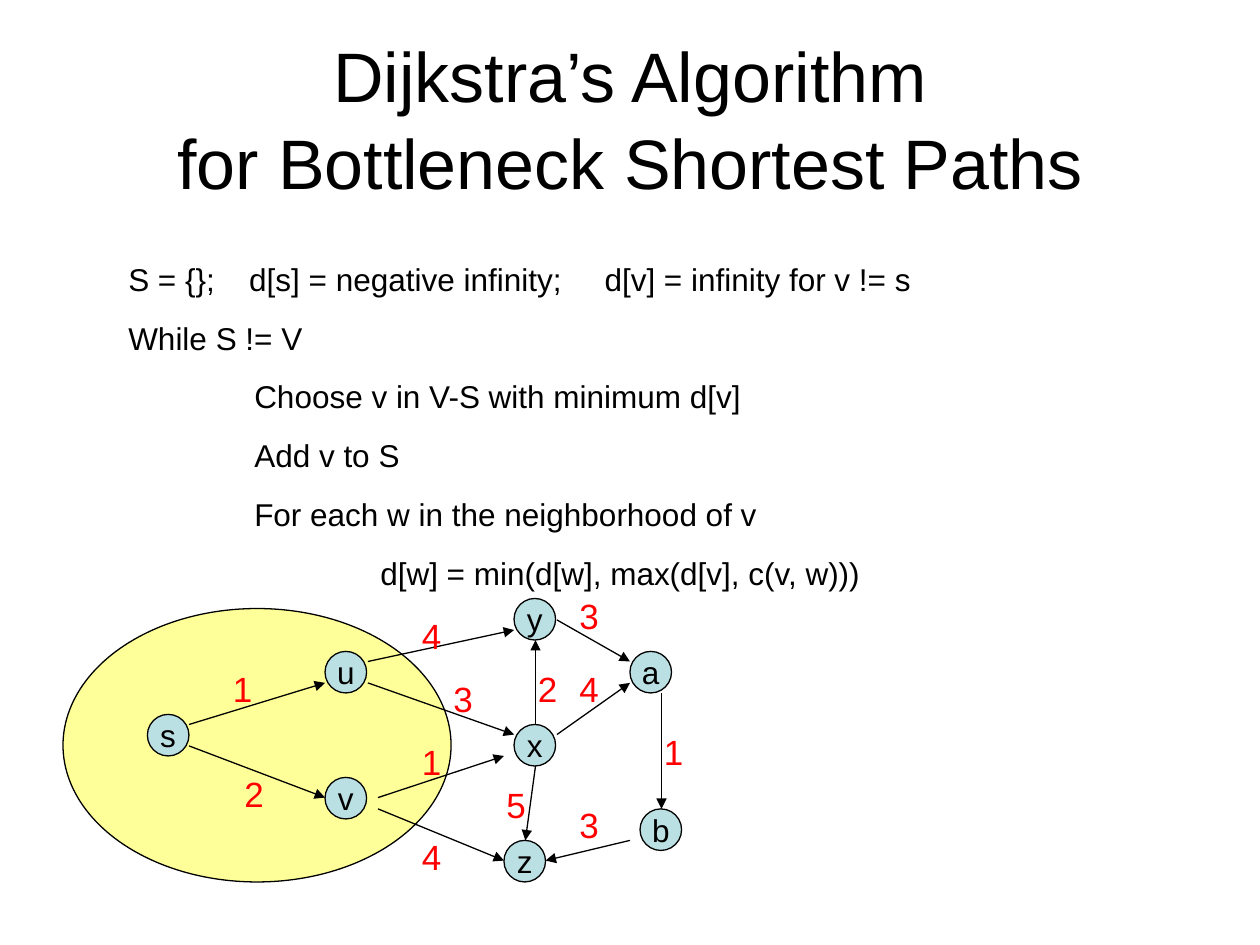
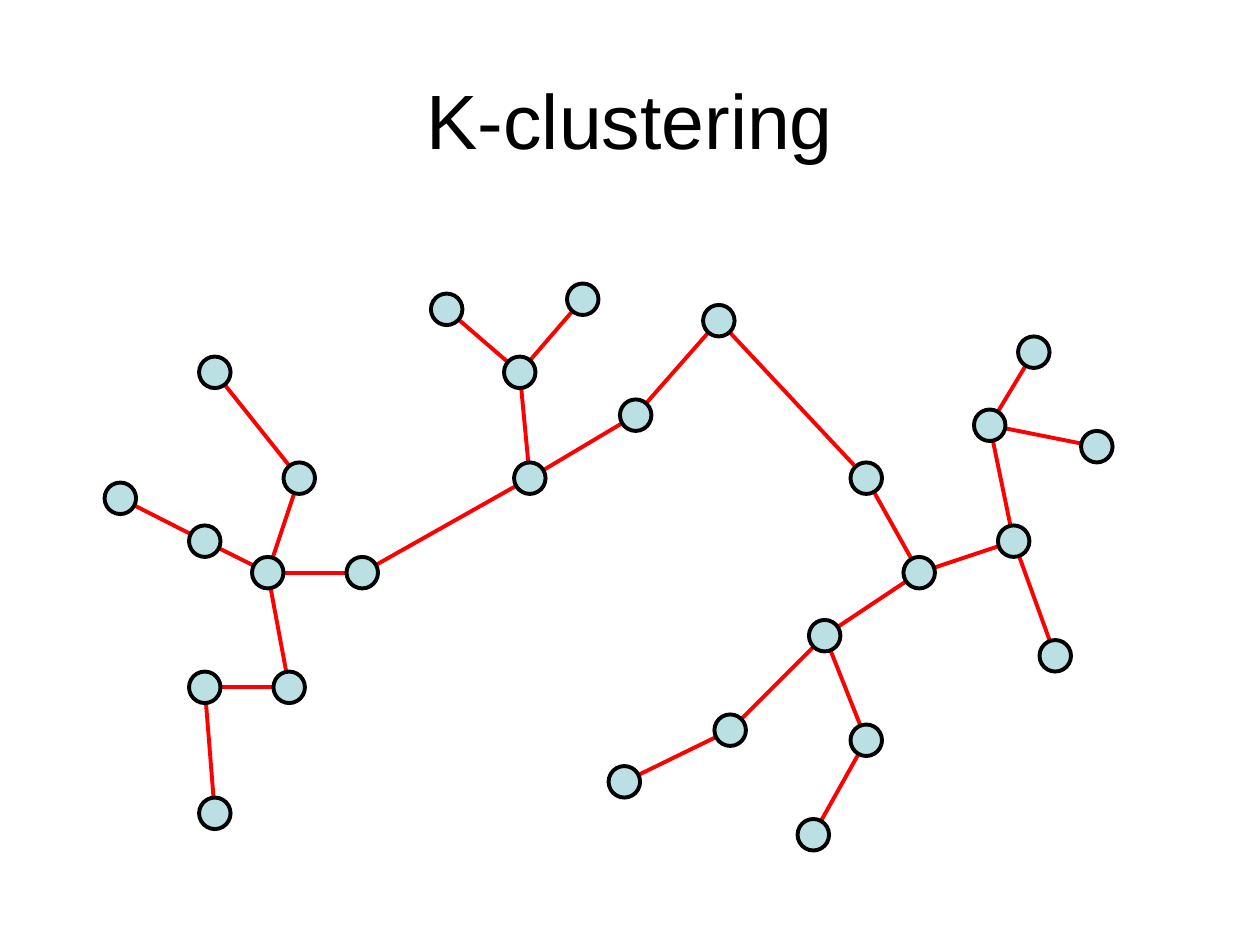
from lxml import etree
from pptx import Presentation
from pptx.dml import color
from pptx.enum import shapes, text
from pptx.oxml import ns
from pptx.util import Inches, Pt

BLACK, RED, BLUE, YELLOW = "000000", "FF0000", "BBE0E3", "FFFF99"
FONT = "Arial"


def paint(target, tone):
    if hasattr(target, "solid"):
        target.solid()
        target = target.fore_color
    target.rgb = color.RGBColor.from_string(tone)


def child(parent, tag, **attrs):
    return etree.SubElement(parent, ns.qn(tag), attrs)


class Deck:
    def __init__(self):
        self.prs = Presentation()
        self.prs.slide_width = Inches(10)
        self.prs.slide_height = Inches(7.5)

    def page(self, title, size):
        self.slide = self.prs.slides.add_slide(self.prs.slide_layouts[6])
        frame = self.box(0.5, 0.3, 9, 1.25)
        frame.vertical_anchor = text.MSO_ANCHOR.MIDDLE
        self.words(frame.paragraphs[0], title, size, align="CENTER", space=1.04)

    def box(self, left, top, width, height, wrap=True):
        shape = self.slide.shapes.add_textbox(*map(Inches, (left, top, width, height)))
        shape.text_frame.word_wrap = wrap
        return shape.text_frame

    def words(self, para, words, size, tone=BLACK, align="LEFT", space=None):
        para.text = words
        para.alignment = getattr(text.PP_ALIGN, align)
        para.line_spacing = space
        para.font.name = FONT
        para.font.size = Pt(size)
        paint(para.font.color, tone)

    def code(self, left, top, width, height, lines, tabs):
        frame = self.box(left, top, width, height)
        for row, (level, words) in enumerate(lines):
            para = frame.add_paragraph() if row else frame.paragraphs[0]
            props = para._p.get_or_add_pPr()
            props.set("marL", str(Inches(level)))
            if "\t" in words:
                stops = child(props, "a:tabLst")
                for stop in tabs:
                    child(stops, "a:tab", pos=str(Inches(stop)), algn="l")
            if row:
                para.space_before = Pt(11.2)
            self.words(para, words, 18, space=1.04)

    def label(self, words, left, top):
        frame = self.box(left, top, 0.35, 0.44, wrap=False)
        self.words(frame.paragraphs[0], words, 20, RED)

    def oval(self, left, top, width, height, fill=BLUE, weight=0.75, words=""):
        shape = self.slide.shapes.add_shape(
            shapes.MSO_SHAPE.OVAL, *map(Inches, (left, top, width, height)))
        shape.shadow.inherit = False
        paint(shape.fill, fill)
        paint(shape.line.color, BLACK)
        shape.line.width = Pt(weight)
        if words:
            frame = shape.text_frame
            frame.word_wrap = False
            frame.vertical_anchor = text.MSO_ANCHOR.MIDDLE
            self.words(frame.paragraphs[0], words, 18, align="CENTER")

    def edge(self, start, end, tone=BLACK, weight=0.75, arrow=True):
        line = self.slide.shapes.add_connector(
            shapes.MSO_CONNECTOR.STRAIGHT, *map(Inches, (*start, *end)))
        paint(line.line.color, tone)
        line.line.width = Pt(weight)
        props = line._element.spPr
        if arrow:
            child(props.find(ns.qn("a:ln")), "a:tailEnd", type="triangle")
        child(props, "a:effectLst")


def paths(deck):
    deck.page("Dijkstra’s Algorithm\nfor Bottleneck Shortest Paths", 40)
    deck.oval(0.5, 4.83, 3.08, 2.17, YELLOW)
    deck.code(0.92, 2, 8.83, 2.68, [
        (0, "S = {};\td[s] = negative infinity;\td[v] = infinity for v != s"),
        (0, "While S != V"),
        (1, "Choose v in V-S with minimum d[v]"),
        (1, "Add v to S"),
        (1, "For each w in the neighborhood of v"),
        (2, "d[w] = min(d[w], max(d[v], c(v, w)))"),
    ], (0.96, 3.78))
    nodes = {"s": (1.17, 5.67), "u": (2.58, 5.17), "v": (2.58, 6.17),
             "z": (4, 6.67), "y": (4.08, 4.75), "x": (4.08, 5.75),
             "a": (5, 5.17), "b": (5.08, 6.42)}
    for name, (left, top) in nodes.items():
        deck.oval(left, top, 0.33, 0.33, words=name)
    edges = [
        ((1.5, 5.75), (2.58, 5.42)), ((1.5, 5.92), (2.58, 6.33)),
        ((2.92, 5.25), (4.08, 5)), ((2.92, 5.42), (4.08, 5.83)),
        ((3, 6.33), (4, 6)), ((3, 6.42), (4, 6.83)),
        ((4.25, 5.75), (4.25, 5.08)), ((4.25, 6.08), (4.17, 6.67)),
        ((4.42, 5.83), (5, 5.42)), ((4.42, 4.92), (5, 5.25)),
        ((5.25, 5.5), (5.25, 6.42)), ((5, 6.67), (4.33, 6.83)),
    ]
    for start, end in edges:
        deck.edge(start, end)
    costs = {
        "1": [(3.25, 5.83), (1.75, 5.25), (5.17, 5.75)],
        "2": [(4.17, 5.25), (1.84, 6.08)],
        "3": [(4.5, 6.33), (3.5, 5.33), (4.5, 4.67)],
        "4": [(4.5, 5.25), (3.25, 4.83), (3.25, 6.58)],
        "5": [(3.92, 6.17)],
    }
    for cost, spots in costs.items():
        for spot in spots:
            deck.label(cost, *spot)


def clusters(deck):
    deck.page("K-clustering", 44)
    size = 0.25
    nodes = {
        "a": (1.58, 6.33), "b": (1.5, 5.33), "c": (2.17, 5.33),
        "d": (4.5, 2.25), "e": (5.58, 2.42), "f": (3.42, 2.33),
        "g": (1.5, 4.17), "h": (1.58, 2.83), "i": (2.75, 4.42),
        "j": (2, 4.42), "k": (4.92, 3.17), "l": (4, 2.83),
        "m": (7.73, 3.25), "n": (8.08, 2.67), "o": (8.58, 3.42),
        "p": (6.42, 4.92), "q": (8.25, 5.08), "r": (6.75, 3.67),
        "s": (7.92, 4.17), "t": (7.17, 4.42), "u": (6.33, 6.5),
        "v": (4.83, 6.08), "w": (5.67, 5.67), "x": (6.75, 5.75),
        "y": (4.08, 3.67), "z": (2.25, 3.67), "A": (0.83, 3.83),
    }
    tree = ("gj ld nm bc fl Ag ts ji mo zj rt ly pt "
            "jc xu vw ke ms yk sq px ba hz er iy wp")
    for pair in tree.split():
        ends = [[side + size / 2 for side in nodes[name]] for name in pair]
        deck.edge(*ends, RED, 2.25, arrow=False)
    for left, top in nodes.values():
        deck.oval(left, top, size, size, weight=2.25)


def main():
    deck = Deck()
    paths(deck)
    clusters(deck)
    deck.prs.save("out.pptx")


if __name__ == "__main__":
    main()
